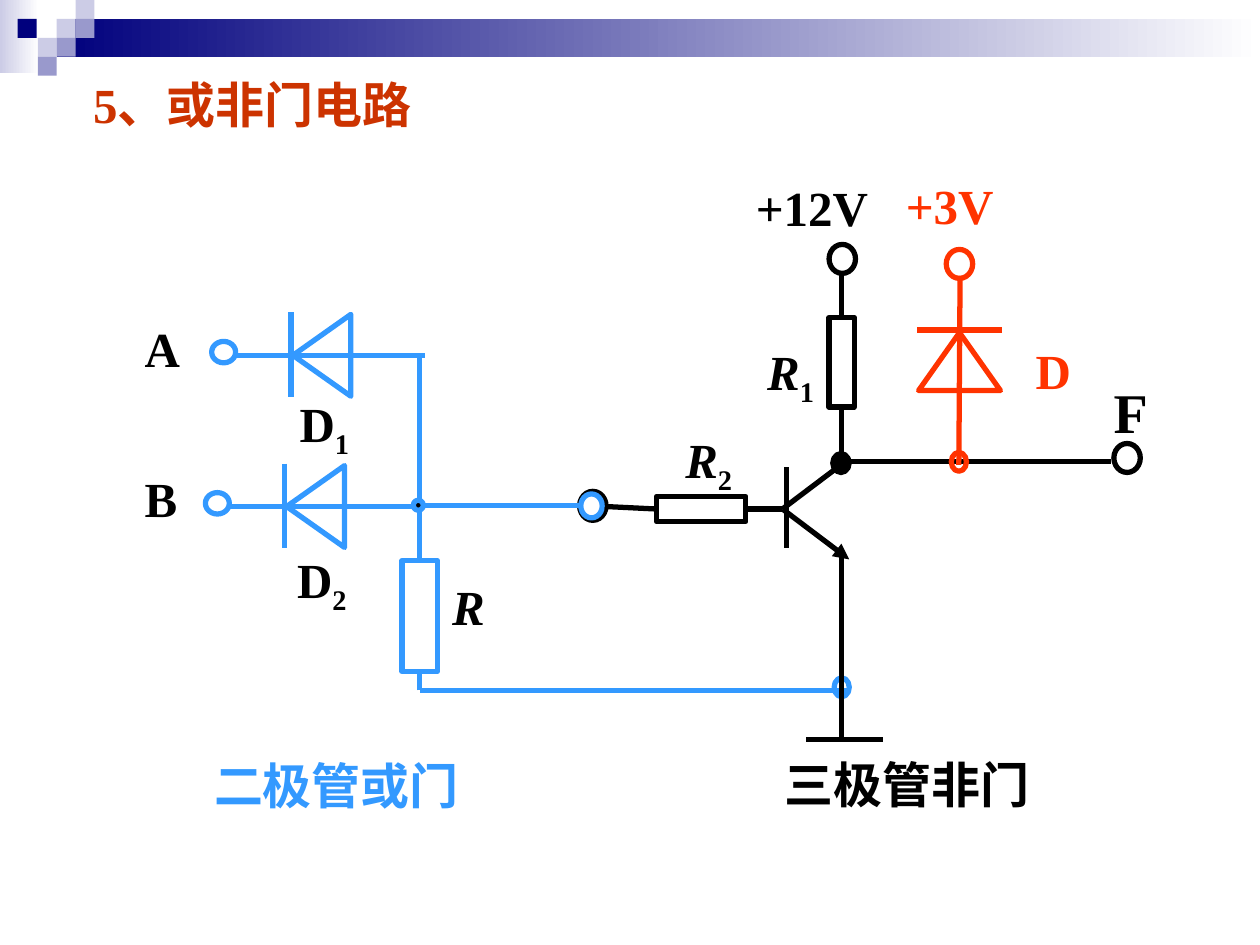
from lxml.etree import SubElement
from pptx import Presentation
from pptx.dml.color import RGBColor
from pptx.enum.shapes import MSO_CONNECTOR as CONN, MSO_SHAPE as SHAPE
from pptx.enum.text import MSO_AUTO_SIZE as FIT
from pptx.oxml.ns import qn
from pptx.util import Emu, Pt

EMU_PER_PX = 9144
BLACK, BLUE, RED, TITLE = "000000", "3399FF", "FF3300", "CC3300"
NAVY, LILAC, PALE, WHITE = "00007D", "9999CC", "CCCCE6", "FFFFFF"
TOP, LEFT, BOTTOM, RIGHT = range(4)


def px(*values):
    return [Emu(v * EMU_PER_PX) for v in values]


def rgb(color):
    return RGBColor.from_string(color)


class Circuit:
    font = {"name": "Times New Roman", "bold": True}
    weight = Pt(3)

    def __init__(self, slide):
        self.slide = slide

    def shape(self, kind, x, y, w, h, line=None, fill=None, rotation=0):
        sp = self.slide.shapes.add_shape(kind, *px(x, y, w, h))
        sp.shadow.inherit = False
        sp.rotation = rotation
        if fill:
            sp.fill.solid()
            sp.fill.fore_color.rgb = rgb(fill)
        else:
            sp.fill.background()
        if line:
            sp.line.color.rgb = rgb(line)
            sp.line.width = self.weight
        else:
            sp.line.fill.background()
        return sp

    def fade(self, x, y, w, h, start, end):
        sp = self.shape(SHAPE.RECTANGLE, x, y, w, h)
        sp.fill.gradient()
        sp.fill.gradient_angle = 180
        for stop, color in zip(sp.fill.gradient_stops, (end, start)):
            stop.color.rgb = rgb(color)

    def box(self, x, y, w, h, line):
        return self.shape(SHAPE.RECTANGLE, x, y, w, h, line)

    def ring(self, x, y, w, h, line, fill=None):
        self.shape(SHAPE.OVAL, x, y, w, h, line, fill)

    def terminal(self, x, y, line):
        self.ring(x, y, 21, 23, line)

    def wire(self, x1, y1, x2, y2, color, begin=None, end=None, arrow=False):
        cx = self.slide.shapes.add_connector(CONN.STRAIGHT, *px(x1, y1, x2, y2))
        cx.line.color.rgb = rgb(color)
        cx.line.width = self.weight
        if begin:
            cx.begin_connect(*begin)
        if end:
            cx.end_connect(*end)
        sp_pr = cx._element.spPr
        if arrow:
            SubElement(sp_pr.find(qn("a:ln")), qn("a:tailEnd"), type="triangle")
        SubElement(sp_pr, qn("a:effectLst"))

    def input_diode(self, x, y):
        self.wire(x, y - 34, x, y + 33, BLUE)
        self.shape(SHAPE.ISOSCELES_TRIANGLE, x - 8, y - 23, 65, 46, BLUE, rotation=270)
        self.wire(x - 44, y, x + 106, y, BLUE)
        self.ring(x - 63, y - 11, 19, 17, BLUE)

    def label(self, x, y, w, h, text, color=BLACK, sub="", size=28, italic=False):
        tf = self.slide.shapes.add_textbox(*px(x, y, w, h)).text_frame
        tf.word_wrap = True
        tf.auto_size = FIT.SHAPE_TO_FIT_TEXT
        p = tf.paragraphs[0]
        self.run(p, text, color, size, italic)
        if sub:
            r = self.run(p, sub, color, size, False)
            r._r.get_or_add_rPr().set("baseline", "-25000")

    def run(self, p, text, color, size, italic):
        r = p.add_run()
        r.text = text
        for key, value in {**self.font, "size": Pt(size), "italic": italic}.items():
            setattr(r.font, key, value)
        r.font.color.rgb = rgb(color)
        return r


def draw_banner(c):
    c.fade(0, 0, 31, 58, PALE, WHITE)
    c.fade(45, 15, 955, 30, NAVY, WHITE)
    for x, y, color in [(45, 15, PALE), (60, 0, PALE), (60, 15, LILAC), (30, 30, PALE),
                        (14, 15, NAVY), (45, 30, LILAC), (30, 45, LILAC)]:
        c.shape(SHAPE.RECTANGLE, x, y, 15, 15, fill=color)


def draw_or_gate(c):
    c.terminal(460, 390, BLACK)
    c.input_diode(231, 282)
    c.input_diode(226, 402)
    c.wire(328, 401, 463, 401, BLUE)
    r = c.box(319, 445, 28, 88, BLUE)
    c.wire(333, 445, 333, 280, BLUE, begin=(r, TOP))
    c.wire(333, 548, 333, 533, BLUE, end=(r, BOTTOM))
    c.wire(333, 548, 672, 548, BLUE)
    c.ring(328, 397, 8, 8, BLUE, BLACK)
    c.ring(461, 392, 17, 19, BLUE)


def draw_not_gate(c):
    c.wire(624, 371, 624, 435, BLACK)
    c.wire(621, 404, 674, 444, BLACK, arrow=True)
    c.wire(621, 404, 674, 364, BLACK)
    c.ring(661, 360, 13, 15, BLACK, BLACK)
    c.wire(667, 366, 882, 366, BLACK)
    c.terminal(884, 352, BLACK)

    r1 = c.box(658, 252, 20, 71, BLACK)
    c.wire(668, 323, 668, 366, BLACK, begin=(r1, BOTTOM))
    c.wire(668, 252, 668, 216, BLACK, begin=(r1, TOP))
    c.terminal(658, 194, BLACK)

    r2 = c.box(521, 394, 71, 20, BLACK)
    c.wire(621, 404, 592, 404, BLACK, end=(r2, RIGHT))
    c.wire(521, 404, 480, 402, BLACK, begin=(r2, LEFT))

    c.wire(795, 262, 728, 262, RED)
    c.shape(SHAPE.ISOSCELES_TRIANGLE, 729, 264, 65, 46, RED)
    c.wire(762, 219, 761, 369, RED)
    c.ring(755, 359, 12, 15, RED)
    c.terminal(751, 198, RED)

    c.wire(640, 587, 701, 587, BLACK)
    c.ring(662, 538, 12, 15, BLUE)
    c.wire(668, 438, 668, 587, BLACK)


def draw_labels(c):
    c.label(64, 54, 362, 57, "5、或非门电路", TITLE)
    c.label(160, 595, 262, 57, "二极管或门", BLUE)
    c.label(613, 594, 267, 57, "三极管非门")
    c.label(105, 248, 60, 57, "A")
    c.label(105, 367, 60, 57, "B")
    c.label(228, 307, 69, 63, "D", sub="1")
    c.label(226, 431, 69, 63, "D", sub="2")
    c.label(349, 453, 63, 57, "R", italic=True)
    c.label(599, 266, 65, 63, "R", sub="1", italic=True)
    c.label(534, 336, 65, 63, "R", sub="2", italic=True)
    c.label(812, 265, 52, 57, "D", RED)
    c.label(874, 295, 66, 64, "F", size=32)
    c.label(590, 136, 125, 57, "+12V")
    c.label(709, 134, 125, 57, "+3V", RED)


def main():
    prs = Presentation()
    prs.slide_width, prs.slide_height = px(1000, 750)
    c = Circuit(prs.slides.add_slide(prs.slide_layouts[6]))
    draw_banner(c)
    draw_or_gate(c)
    draw_not_gate(c)
    draw_labels(c)
    prs.save("out.pptx")


if __name__ == "__main__":
    main()
